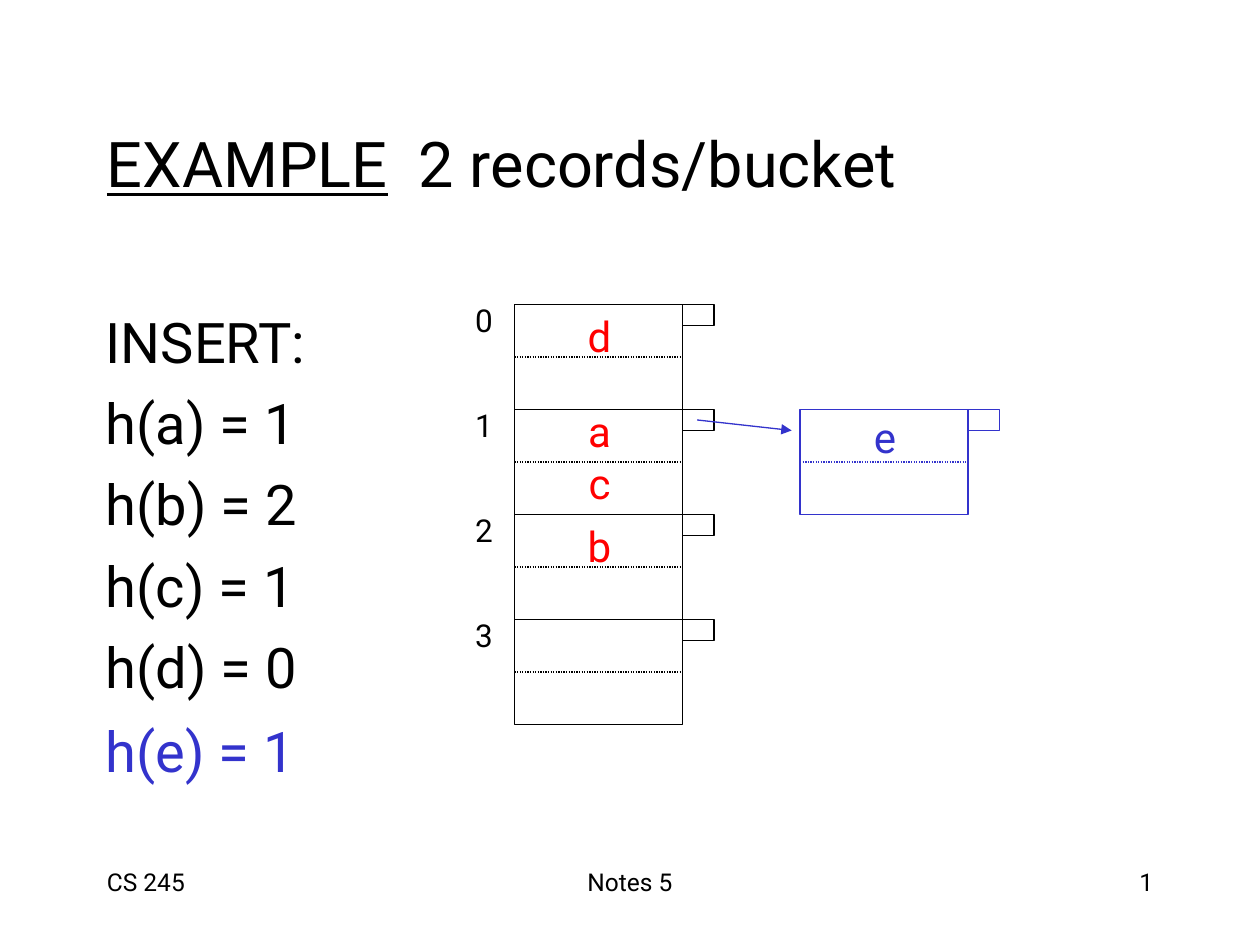
from lxml import etree
from pptx import Presentation
from pptx import util as u
from pptx.dml.color import RGBColor
from pptx.enum import dml, shapes, text
from pptx.oxml.ns import qn

COLUMNS, ROWS = 120, 90  # grid of twelve steps to the inch
BLACK, WHITE, RED, BLUE = "000000", "FFFFFF", "FF0000", "3333CC"
LEFT, CENTER, RIGHT = text.PP_ALIGN.LEFT, text.PP_ALIGN.CENTER, text.PP_ALIGN.RIGHT
BUCKET_WIDTH, BUCKET_HEIGHT = 16, 10


def grid(*steps):
    return [u.Inches(step / 12) for step in steps]


def color(value):
    return RGBColor.from_string(value)


def add_text(page, box, lines, size, ink=BLACK, align=LEFT,
             anchor=text.MSO_ANCHOR.TOP, before=0, wrap=True):
    frame = page.shapes.add_textbox(*grid(*box)).text_frame
    frame.word_wrap = wrap
    frame.vertical_anchor = anchor
    frame.text = "\n".join(lines)
    for para in frame.paragraphs:
        para.alignment = align
        para.space_before = u.Pt(before)
        for span in para.runs:
            span.font.name = "Roboto"
            span.font.size = u.Pt(size)
            span.font.color.rgb = color(ink)
    return frame


def add_centered(page, x, y, word, size, ink):
    """Write one word around the point (x, y)."""
    add_text(page, (x - 3, y - 3, 6, 6), [word], size, ink, CENTER,
             text.MSO_ANCHOR.MIDDLE, wrap=False)


def add_rectangle(page, box, ink):
    shape = page.shapes.add_shape(shapes.MSO_SHAPE.RECTANGLE, *grid(*box))
    shape.shadow.inherit = False
    shape.fill.solid()
    shape.fill.fore_color.rgb = color(WHITE)
    shape.line.color.rgb = color(ink)
    shape.line.width = u.Pt(0.75)


def add_line(page, ends, ink):
    line = page.shapes.add_connector(shapes.MSO_CONNECTOR.STRAIGHT, *grid(*ends))
    line.line.color.rgb = color(ink)
    line.line.width = u.Pt(0.75)
    etree.SubElement(line._element.spPr, qn("a:effectLst"))
    return line


def add_bucket(page, left, top, records, ink, record_ink):
    """Draw two record slots and an overflow tab; records are (name, row) pairs."""
    right, middle = left + BUCKET_WIDTH, top + BUCKET_HEIGHT / 2
    add_rectangle(page, (left, top, BUCKET_WIDTH, BUCKET_HEIGHT), ink)
    add_rectangle(page, (right, top, 3, 2), ink)
    divider = add_line(page, (left, middle, right, middle), ink)
    divider.line.dash_style = dml.MSO_LINE.ROUND_DOT
    for name, row in records:
        add_centered(page, left + BUCKET_WIDTH / 2 + 0.1, top + row, name, 24, record_ink)


def add_table_of_buckets(page, left, top):
    contents = [[("d", 3)], [("a", 2), ("c", 7)], [("b", 3)], []]
    for index, records in enumerate(contents):
        bucket_top = top + index * BUCKET_HEIGHT
        add_bucket(page, left, bucket_top, records, BLACK, RED)
        add_centered(page, left - 2.9, bucket_top + 1.5, str(index), 18, BLACK)


def add_overflow(page, left, top):
    add_bucket(page, left, top, [("e", 2.6)], BLUE, BLUE)
    arrow = add_line(page, (left - 9.8, top + 1, left - 0.8, top + 2), BLUE)
    etree.SubElement(arrow.line._get_or_add_ln(), qn("a:tailEnd"), type="triangle")


def add_title(page, box):
    frame = add_text(page, box, ["EXAMPLE"], 36, anchor=text.MSO_ANCHOR.MIDDLE)
    para = frame.paragraphs[0]
    para.runs[0].font.underline = True
    rest = para.add_run()
    rest.text = "  2 records/bucket"
    rest.font.name = "Roboto"
    rest.font.size = u.Pt(36)
    rest.font.color.rgb = color(BLACK)


def add_inserts(page, left, top):
    hashes = [f"h({key}) = {bucket}" for key, bucket in zip("abcd", (1, 2, 1, 0))]
    add_text(page, (left, top, 24, 38), ["INSERT:"] + hashes, 32, before=8)
    add_text(page, (left, top + 38.9, 24, 8), ["h(e) = 1"], 32, BLUE)


def add_footer(page, top):
    add_text(page, (9, top, 25, 6), ["CS 245"], 14)
    add_text(page, (41, top, 38, 6), ["Notes 5"], 14, align=CENTER)
    add_text(page, (86, top, 25, 6), ["1"], 14, align=RIGHT)


def main():
    deck = Presentation()
    deck.slide_width, deck.slide_height = grid(COLUMNS, ROWS)
    page = deck.slides.add_slide(deck.slide_layouts[6])
    add_title(page, (9, 8, 102, 15))
    add_inserts(page, 8.9, 28.7)
    add_table_of_buckets(page, 49, 29)
    add_overflow(page, 76.2, 39)
    add_footer(page, 82)
    deck.save("out.pptx")


if __name__ == "__main__":
    main()
